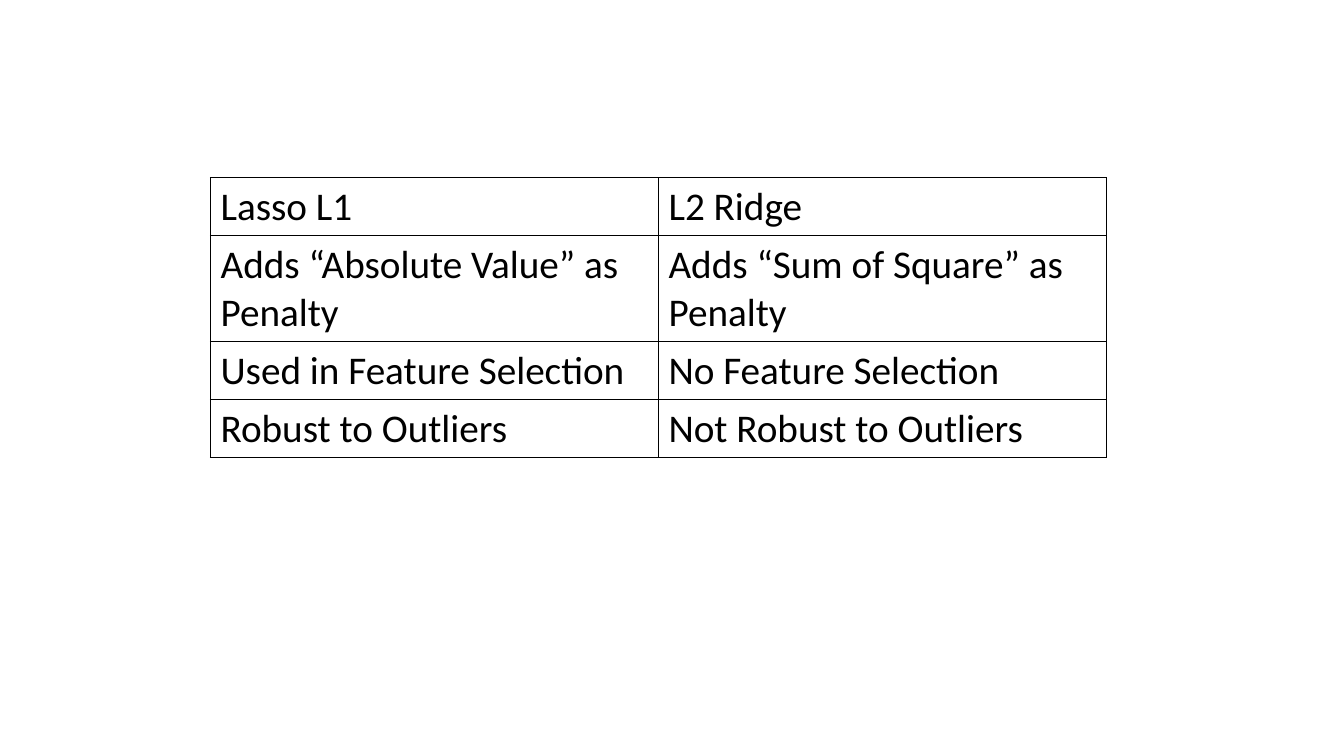
from lxml.etree import SubElement
from pptx import Presentation
from pptx.dml.color import RGBColor
from pptx.oxml.ns import qn
from pptx.util import Pt

ROWS = [
    ("Lasso L1", "L2 Ridge"),
    ("Adds “Absolute Value” as Penalty", "Adds “Sum of Square” as Penalty"),
    ("Used in Feature Selection", "No Feature Selection"),
    ("Robust to Outliers", "Not Robust to Outliers"),
]
ROW_HEIGHTS = [41.4, 75.4, 41.4, 41.4]
LEFT, TOP, COL_WIDTH = 150.4, 127, 320
BLACK = RGBColor(0, 0, 0)


def write_cell(cell, text, size=28, font="Calibri", color=BLACK, border=1):
    r = cell.text_frame.paragraphs[0].add_run()
    r.text = text
    r.font.size = Pt(size)
    r.font.name = font
    r.font.bold = False
    r.font.color.rgb = color
    tcPr = cell._tc.get_or_add_tcPr()
    for side in ("a:lnL", "a:lnR", "a:lnT", "a:lnB"):
        ln = SubElement(tcPr, qn(side), w=str(Pt(border)))
        fill = SubElement(ln, qn("a:solidFill"))
        SubElement(fill, qn("a:srgbClr"), val=str(color))
    cell.fill.background()


def main():
    prs = Presentation()
    prs.slide_width, prs.slide_height = Pt(960), Pt(540)
    s = prs.slides.add_slide(prs.slide_layouts[6])
    cols = len(ROWS[0])
    table = s.shapes.add_table(
        len(ROWS), cols, Pt(LEFT), Pt(TOP), Pt(COL_WIDTH * cols), Pt(sum(ROW_HEIGHTS))
    ).table
    table.first_row = table.horz_banding = False
    for col in table.columns:
        col.width = Pt(COL_WIDTH)
    for i, (texts, height) in enumerate(zip(ROWS, ROW_HEIGHTS)):
        table.rows[i].height = Pt(height)
        for j, text in enumerate(texts):
            write_cell(table.cell(i, j), text)
    prs.save("out.pptx")


if __name__ == "__main__":
    main()
